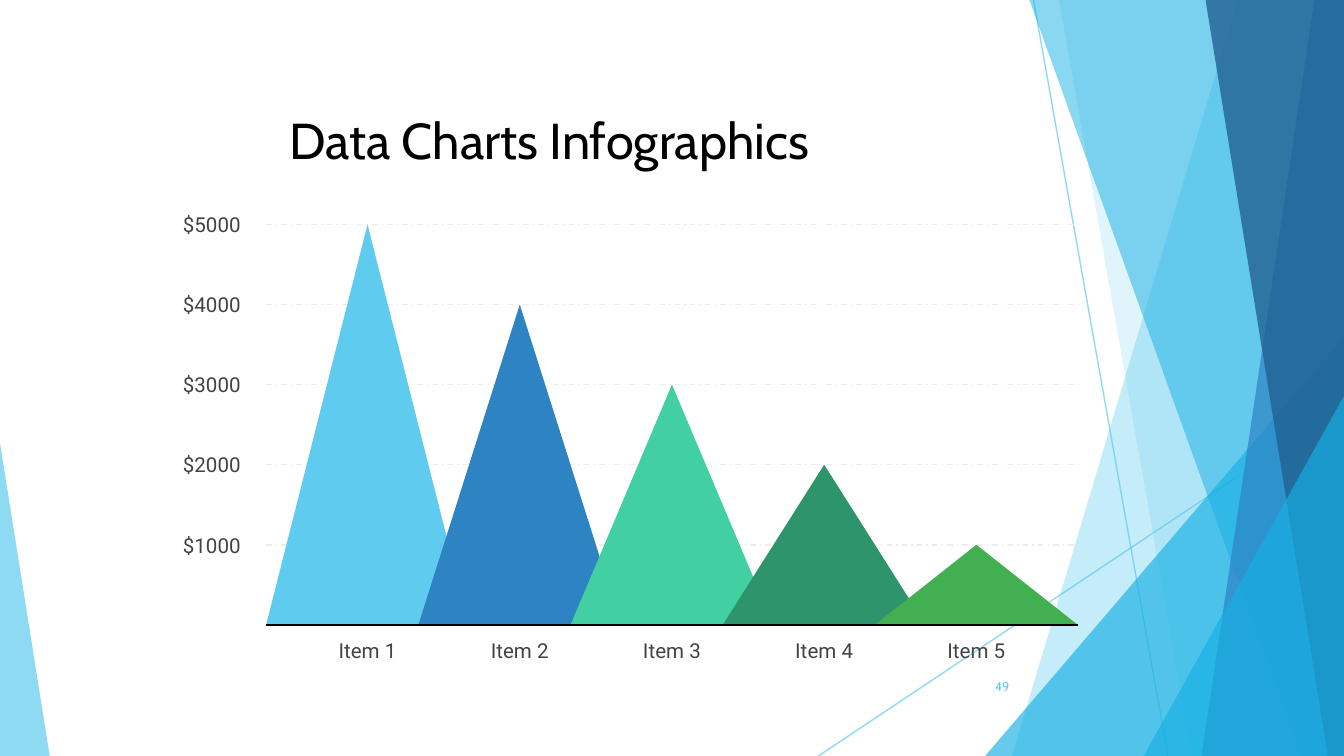
from lxml import etree
from pptx import Presentation
from pptx.dml.color import RGBColor
from pptx.enum.dml import MSO_LINE
from pptx.enum.shapes import MSO_CONNECTOR, MSO_SHAPE
from pptx.enum.text import MSO_ANCHOR, PP_ALIGN
from pptx.oxml.ns import qn
from pptx.util import Inches, Pt

TRIANGLE = MSO_SHAPE.ISOSCELES_TRIANGLE
STRAIGHT = MSO_CONNECTOR.STRAIGHT
DASH_DOT = MSO_LINE.DASH_DOT
MIDDLE = MSO_ANCHOR.MIDDLE
CENTER, RIGHT = PP_ALIGN.CENTER, PP_ALIGN.RIGHT

BLACK = RGBColor(0x00, 0x00, 0x00)
DARK_GRAY = RGBColor(0x43, 0x43, 0x43)
LIGHT_GRAY = RGBColor(0xEB, 0xEB, 0xEB)
SKY = RGBColor(0x5F, 0xCB, 0xEF)
CYAN = RGBColor(0x17, 0xB0, 0xE4)
BLUE = RGBColor(0x2E, 0x83, 0xC3)
NAVY = RGBColor(0x22, 0x62, 0x92)
MINT = RGBColor(0x42, 0xD0, 0xA2)
TEAL = RGBColor(0x2E, 0x94, 0x6B)
GREEN = RGBColor(0x42, 0xB0, 0x51)

W = 10
H = W * 9 / 16
PEAKS = [SKY, BLUE, MINT, TEAL, GREEN]
N = len(PEAKS)
PLOT_X, PLOT_Y, PLOT_W, AXIS_Y = 1.98, 1.67, 6.04, 4.65
PEAK_W = PLOT_W / 4
COL = (PLOT_W - PEAK_W) / (N - 1)
ROW = (AXIS_Y - PLOT_Y) / N
LABEL_H = 0.22

prs = Presentation()
prs.slide_width, prs.slide_height = Inches(W), Inches(H)
s = prs.slides.add_slide(prs.slide_layouts[6])


def add_text(text, x, y, w, h, size=11, font="Roboto", color=DARK_GRAY, align=CENTER):
    tf = s.shapes.add_textbox(Inches(x), Inches(y), Inches(w), Inches(h)).text_frame
    tf.word_wrap = True
    tf.vertical_anchor = MIDDLE
    tf.margin_left = tf.margin_right = tf.margin_top = tf.margin_bottom = Inches(0.1)
    p = tf.paragraphs[0]
    p.alignment = align
    r = p.add_run()
    r.text = text
    r.font.size, r.font.name = Pt(size), font
    r.font.color.rgb = color


def add_line(x1, y1, x2, y2, color, dash=None, alpha=100):
    ln = s.shapes.add_connector(STRAIGHT, Inches(x1), Inches(y1), Inches(x2), Inches(y2))
    ln.line.color.rgb = color
    ln.line.width = Pt(0.75)
    if dash:
        ln.line.dash_style = dash
    spPr = ln._element.spPr
    if alpha < 100:
        clr = spPr.find(".//" + qn("a:srgbClr"))
        etree.SubElement(clr, qn("a:alpha"), val=str(alpha * 1000))
    etree.SubElement(spPr, qn("a:effectLst"))


add_line(7.69, 0, 8.69, H, SKY, alpha=70)
add_line(W, 3.02, 6.09, H, SKY, alpha=70)

panels = [
    ("band", 9.21, 7.53, SKY, 36),
    ("band", 7.88, 8.87, SKY, 20),
    ("right", 2.67, 3.12, CYAN, 66),
    ("band", 7.66, 9.68, CYAN, 50),
    ("band", 9.78, 8.94, BLUE, 70),
    ("band", 8.97, 9.88, NAVY, 80),
    ("right", 1.49, 2.68, CYAN, 66),
    ("left", 0.37, 2.33, SKY, 70),
]
for kind, a, b, color, alpha in panels:
    if kind == "band":
        fb = s.shapes.build_freeform(Inches(a), 0)
        fb.add_line_segments([(Inches(x), Inches(y)) for x, y in [(W, 0), (W, H), (b, H)]])
        sp = fb.convert_to_shape()
    else:
        x = W - a if kind == "right" else 0
        sp = s.shapes.add_shape(TRIANGLE, Inches(x), Inches(H - b), Inches(a), Inches(b))
        sp.adjustments[0] = 1 if kind == "right" else 0
    sp.shadow.inherit = False
    sp.fill.solid()
    sp.fill.fore_color.rgb = color
    sp.line.fill.background()
    clr = sp._element.spPr.find(".//" + qn("a:srgbClr"))
    etree.SubElement(clr, qn("a:alpha"), val=str(alpha * 1000))

add_text("Data Charts Infographics", 0.56, 0.5, 7.05, 1.08,
         size=27, font="Cabin", color=BLACK)
add_text("49", 7.05, 4.96, 0.56, 0.3, size=6.8, font="Cabin", color=SKY, align=RIGHT)

for i in range(N):
    y = PLOT_Y + i * ROW
    add_line(PLOT_X, y, PLOT_X + PLOT_W, y, LIGHT_GRAY, dash=DASH_DOT)

for i, color in enumerate(PEAKS):
    x, h = PLOT_X + i * COL, (N - i) * ROW
    sp = s.shapes.add_shape(TRIANGLE, Inches(x), Inches(AXIS_Y - h), Inches(PEAK_W), Inches(h))
    sp.shadow.inherit = False
    sp.fill.solid()
    sp.fill.fore_color.rgb = color
    sp.line.fill.background()

for i in range(N):
    add_text(f"${(i + 1) * 1000}", 1.06, AXIS_Y - (i + 1) * ROW - LABEL_H / 2,
             0.83, LABEL_H, align=RIGHT)
for i in range(N):
    add_text(f"Item {i + 1}", PLOT_X + i * COL + (PEAK_W - 0.77) / 2, 4.73, 0.77, LABEL_H)

add_line(PLOT_X, AXIS_Y, PLOT_X + PLOT_W, AXIS_Y, BLACK)

prs.save("out.pptx")
